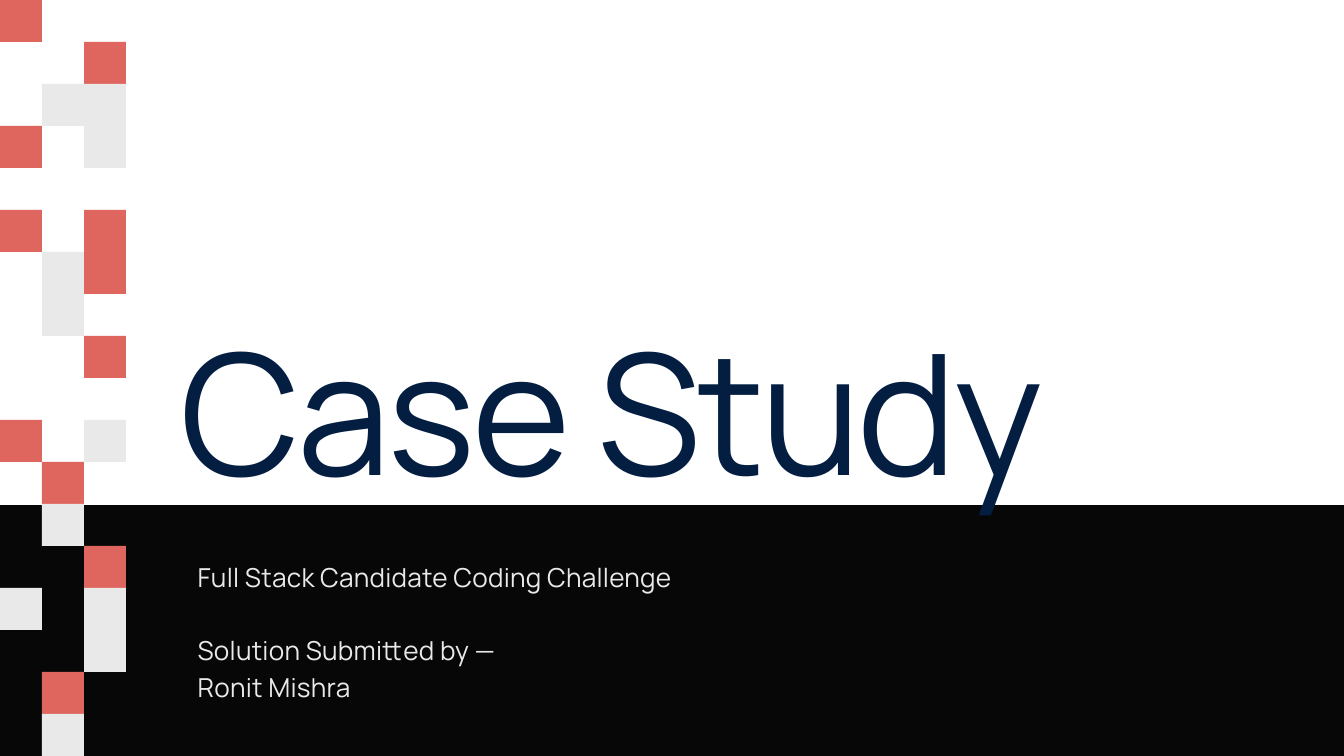
import pptx
import pptx.dml.color
import pptx.enum.shapes
import pptx.enum.text
import pptx.util

Cm = pptx.util.Cm
Pt = pptx.util.Pt

WIDTH, HEIGHT = 50.8, 28.58
CELL = HEIGHT / 18

CORAL, GREY, BLACK, NAVY = "DF665F", "E9E9E9", "070707", "041E42"

# (column, row, rows covered, colour)
MOSAIC = [
    (0, 0, 1, CORAL), (0, 3, 1, CORAL), (0, 5, 1, CORAL),
    (0, 10, 1, CORAL), (0, 14, 1, GREY),
    (1, 2, 1, GREY), (1, 6, 2, GREY), (1, 11, 1, CORAL),
    (1, 12, 1, GREY), (1, 16, 1, CORAL), (1, 17, 1, GREY),
    (2, 1, 1, CORAL), (2, 2, 2, GREY), (2, 5, 2, CORAL),
    (2, 8, 1, CORAL), (2, 10, 1, GREY), (2, 13, 1, CORAL),
    (2, 14, 2, GREY),
]


def rgb(hex_colour):
    return pptx.dml.color.RGBColor.from_string(hex_colour)


def write(paragraph, text, *, size, colour, font, leading, tracking=0, before=0):
    """Fill a paragraph with one run; leading, tracking and before are in points."""
    paragraph.alignment = pptx.enum.text.PP_ALIGN.JUSTIFY
    paragraph.line_spacing = Pt(leading)
    paragraph.space_before = Pt(before)
    run = paragraph.add_run()
    run.text = text
    run.font.size = Pt(size)
    run.font.name = font
    run.font.color.rgb = rgb(colour)
    run.font._element.set("spc", str(round(tracking * 100)))


class CoverSlide:
    """Holds the style and the slide being built."""

    font = "Manrope"

    def __init__(self, presentation):
        self.slide = presentation.slides.add_slide(presentation.slide_layouts[5])

    def rectangle(self, left, top, width, height, colour, parent=None):
        shapes = (parent or self.slide).shapes
        block = shapes.add_shape(
            pptx.enum.shapes.MSO_SHAPE.RECTANGLE,
            Cm(left), Cm(top), Cm(width), Cm(height))
        block.shadow.inherit = False
        block.fill.solid()
        block.fill.fore_color.rgb = rgb(colour)
        block.line.fill.background()

    def mosaic(self, tiles):
        group = self.slide.shapes.add_group_shape()
        for column, row, rows, colour in tiles:
            self.rectangle(column * CELL, row * CELL, CELL, rows * CELL, colour, group)

    def prepare_frame(self, frame):
        frame.margin_left = frame.margin_right = 0
        frame.margin_top = frame.margin_bottom = 0
        frame.word_wrap = True
        frame.auto_size = pptx.enum.text.MSO_AUTO_SIZE.NONE
        frame.vertical_anchor = pptx.enum.text.MSO_ANCHOR.TOP

    def title(self, text, left, top, width, height, **style):
        heading = self.slide.shapes.title
        heading.left, heading.top = Cm(left), Cm(top)
        heading.width, heading.height = Cm(width), Cm(height)
        # The descender overlaps the dark band, so the title goes in front.
        heading.element.getparent().append(heading.element)
        self.prepare_frame(heading.text_frame)
        write(heading.text_frame.paragraphs[0], text, font=self.font, **style)

    def text(self, lines, left, top, width, height, **style):
        """Add a text box; lines are pairs of text and space before in points."""
        box = self.slide.shapes.add_textbox(Cm(left), Cm(top), Cm(width), Cm(height))
        frame = box.text_frame
        self.prepare_frame(frame)
        for index, (line, before) in enumerate(lines):
            paragraph = frame.add_paragraph() if index else frame.paragraphs[0]
            write(paragraph, line, font=self.font, before=before, **style)


def main():
    presentation = pptx.Presentation()
    presentation.slide_width = Cm(WIDTH)
    presentation.slide_height = Cm(HEIGHT)

    cover = CoverSlide(presentation)
    cover.rectangle(-1.57, 19.1, 53.92, 9.48, BLACK)
    cover.mosaic(MOSAIC)
    cover.title("Case Study", 6.83, 12.27, 37.82, 7.16,
                size=180, colour=NAVY, leading=198, tracking=-3.6)

    leading = 39.2
    details = [
        ("Full Stack Candidate Coding Challenge", 0),
        ("Solution Submitted by —", leading),
        ("Ronit Mishra", 0),
    ]
    cover.text(details, 7.47, 21.03, 27.58, 5.46,
               size=28, colour=GREY, leading=leading, tracking=0.3)

    presentation.save("out.pptx")


if __name__ == "__main__":
    main()
